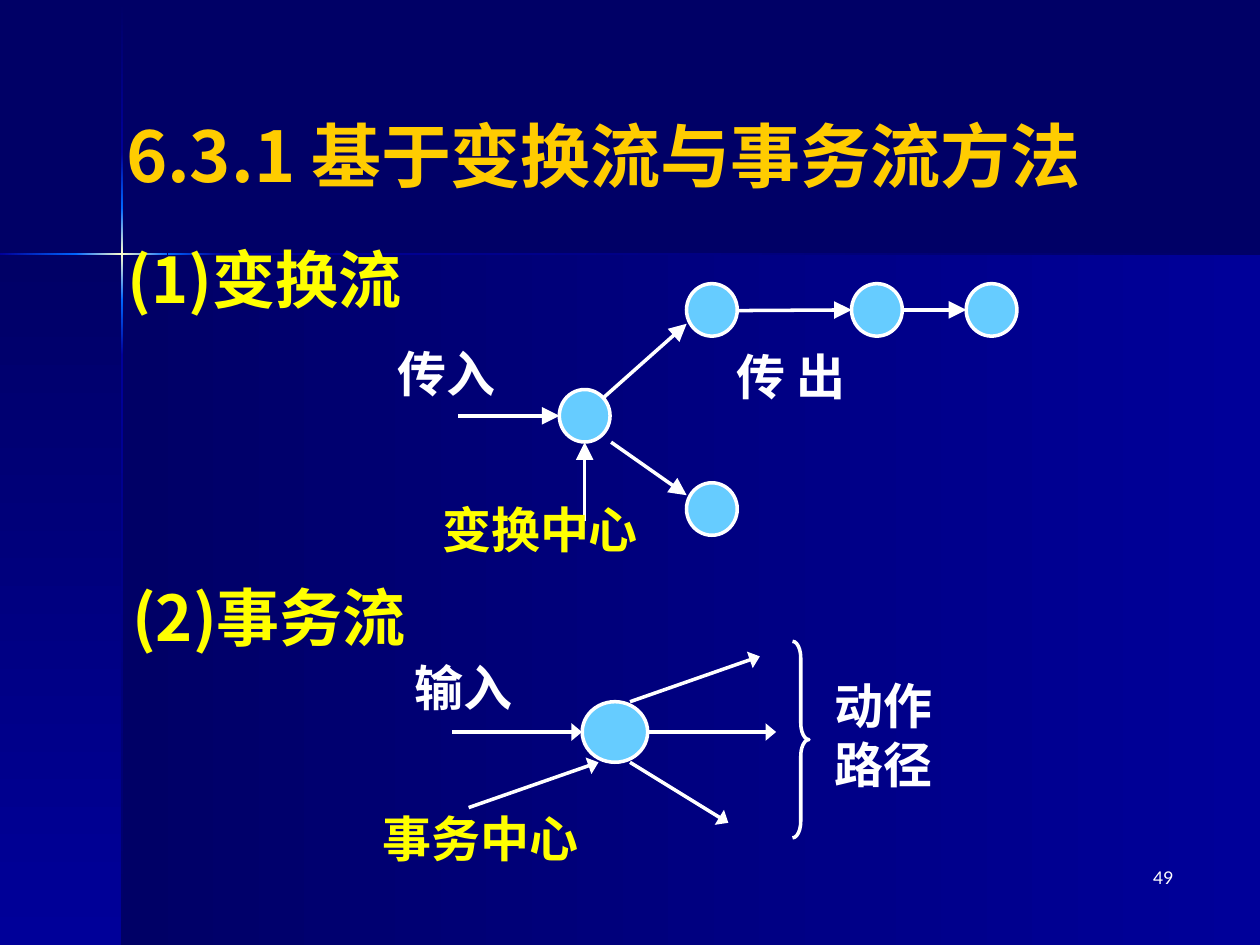
from copy import deepcopy

from lxml.etree import SubElement
from pptx import Presentation
from pptx.dml.color import RGBColor
from pptx.enum.shapes import MSO_CONNECTOR, MSO_SHAPE
from pptx.enum.text import MSO_ANCHOR, MSO_AUTO_SIZE, PP_ALIGN
from pptx.oxml.ns import qn
from pptx.util import Pt

NAVY = RGBColor(0x00, 0x00, 0x66)
BLUE = RGBColor(0x00, 0x00, 0x99)
BRIGHT = RGBColor(0x00, 0x66, 0xFF)
CREAM = RGBColor(0xFF, 0xFF, 0xCC)
GOLD = RGBColor(0xFF, 0xCC, 0x00)
YELLOW = RGBColor(0xFF, 0xFF, 0x00)
WHITE = RGBColor(0xFF, 0xFF, 0xFF)
SKY = RGBColor(0x66, 0xCC, 0xFF)

LATIN = "Lato"
CHINESE = "Noto Sans CJK SC"
DOWN, LEFTWARD = 270, 180

BANDS = [
    (69.84, 145.44, 650.16, 394.56, LEFTWARD, (BLUE, NAVY)),
    (0, 145.44, 69.84, 394.56, DOWN, (NAVY, BLUE)),
    (69.2, 0.72, 1.3, 86.4, DOWN, (NAVY, BLUE)),
    (69.2, 203.04, 1.3, 336.96, DOWN, (BLUE, NAVY)),
    (127.44, 144.7, 592.56, 1.3, LEFTWARD, (NAVY, BLUE)),
    (69.2, 171.36, 1.3, 31.68, DOWN, (BRIGHT, BLUE)),
    (69.2, 87.12, 1.3, 31.68, DOWN, (BLUE, BRIGHT)),
    (69.2, 118.8, 1.3, 52.56, DOWN, (BRIGHT, CREAM, BRIGHT)),
    (0, 144.7, 43.92, 1.3, LEFTWARD, (BRIGHT, BLUE)),
    (95.76, 144.7, 31.68, 1.3, LEFTWARD, (BLUE, BRIGHT)),
    (43.2, 144.7, 52.56, 1.3, LEFTWARD, (BRIGHT, CREAM, BRIGHT)),
]

TRANSFORM_ARROWS = [
    (341.3, 230.4, 392.4, 185),
    (421.2, 177.5, 486.7, 177.1),
    (515.5, 177.1, 552.2, 177.1),
    (349.2, 252.7, 392.4, 283),
    (262, 237.6, 319.7, 237.6),
    (334.1, 298, 334.1, 252.7),
]
TRANSACTION_ARROWS = [
    (258.5, 418.3, 332.6, 418.3),
    (370.1, 418.3, 443.5, 418.3),
    (360, 401, 434.2, 375.1),
    (360, 435.6, 416.2, 470.2),
    (267.8, 461.5, 342, 435.6),
]
TRANSFORM_CENTRES = [
    (334.1, 237.6), (406.8, 177.1), (501.1, 177.1), (566.6, 177.1), (406.8, 290.9),
]

HEADING = {"size": Pt(36), "bold": True, "name": CHINESE}
LABEL = {"size": Pt(28), "bold": True, "name": LATIN}
HEADINGS = [
    ("(1)变换流", 58.7, 133.9, 185, 50.4),
    ("(2)事务流", 61.2, 326.9, 185, 50.4),
]
LABELS = [
    ("传入 ", 208.2, 190.5, 100, 45.4, WHITE),
    ("传 出", 402.2, 190.8, 100, 47.5, WHITE),
    ("变换中心", 228.6, 283, 160, 38.2, YELLOW),
    ("输入 ", 217.8, 375.1, 100, 34.6, WHITE),
    ("事务中心 ", 184.6, 457.2, 185.8, 43.2, YELLOW),
    (" 动作\n 路径", 439.2, 377.6, 124.6, 84.2, WHITE),
]


def format_text(text_frame, text, values, color, alignment):
    """Write the text and apply one font format to every run."""
    text_frame.text = text
    for paragraph in text_frame.paragraphs:
        paragraph.alignment = alignment
        for run in paragraph.runs:
            for name, value in values.items():
                setattr(run.font, name, value)
            run.font.color.rgb = color
            SubElement(run.font._element, qn("a:ea"), typeface=CHINESE)


def add_text(slide, text, box, values, color, alignment=PP_ALIGN.CENTER,
             anchor=MSO_ANCHOR.MIDDLE, wrap=False):
    """Add a text box whose box is left, top, width, height in points."""
    text_frame = slide.shapes.add_textbox(*map(Pt, box)).text_frame
    text_frame.word_wrap = wrap
    text_frame.vertical_anchor = anchor
    format_text(text_frame, text, values, color, alignment)


def add_plain_shape(slide, kind, box):
    """Add a preset shape without a shadow."""
    shape = slide.shapes.add_shape(kind, *map(Pt, box))
    shape.shadow.inherit = False
    return shape


def add_band(slide, box, angle, colors):
    """Add a borderless rectangle with evenly spaced gradient colours."""
    shape = add_plain_shape(slide, MSO_SHAPE.RECTANGLE, box)
    shape.line.fill.background()
    shape.fill.gradient()
    shape.fill.gradient_angle = angle
    stop_list = shape._element.spPr.find(".//" + qn("a:gsLst"))
    while len(stop_list) < len(colors):
        stop_list.append(deepcopy(stop_list[-1]))
    for index, (stop, color) in enumerate(zip(shape.fill.gradient_stops, colors)):
        stop.position = index / (len(colors) - 1)
        stop.color.rgb = color


def set_line(shape):
    """Give a shape or connector the diagram's white line."""
    shape.line.color.rgb = WHITE
    shape.line.width = Pt(2)


def add_circle(slide, centre, width, height):
    """Add a process bubble around its centre."""
    x, y = centre
    box = (x - width / 2, y - height / 2, width, height)
    shape = add_plain_shape(slide, MSO_SHAPE.OVAL, box)
    shape.fill.solid()
    shape.fill.fore_color.rgb = SKY
    set_line(shape)


def add_arrow(slide, ends, head_length):
    """Add a straight arrow with a wide triangular head at its end."""
    connector = slide.shapes.add_connector(MSO_CONNECTOR.STRAIGHT, *map(Pt, ends))
    set_line(connector)
    SubElement(connector.line._get_or_add_ln(), qn("a:tailEnd"),
               type="triangle", w="lg", len=head_length)
    SubElement(connector._element.spPr, qn("a:effectLst"))


def add_brace(slide, box):
    """Add the right brace that gathers the action paths."""
    shape = add_plain_shape(slide, MSO_SHAPE.RIGHT_BRACE, box)
    shape.fill.background()
    set_line(shape)
    shape.adjustments[0] = 1
    shape.adjustments[1] = 0.5


def set_title(slide, text, box):
    """Place and format the title placeholder."""
    title = slide.shapes.title
    for name, value in zip(("left", "top", "width", "height"), box):
        setattr(title, name, Pt(value))
    title.text_frame.auto_size = MSO_AUTO_SIZE.NONE
    title.text_frame.vertical_anchor = MSO_ANCHOR.MIDDLE
    format_text(title.text_frame, text, {**HEADING, "size": Pt(40)}, GOLD, PP_ALIGN.LEFT)


def main():
    """Build the slide on transform flow and transaction flow."""
    presentation = Presentation()
    presentation.slide_width, presentation.slide_height = Pt(720), Pt(540)
    slide = presentation.slides.add_slide(presentation.slide_layouts[5])
    slide.background.fill.solid()
    slide.background.fill.fore_color.rgb = NAVY
    for *box, angle, colors in BANDS:
        add_band(slide, box, angle, colors)
    set_title(slide, "6.3.1 基于变换流与事务流方法", (64.8, 31.7, 594, 113))
    for text, *box in HEADINGS:
        add_text(slide, text, box, HEADING, YELLOW, anchor=MSO_ANCHOR.TOP)
    for ends in TRANSFORM_ARROWS:
        add_arrow(slide, ends, "lg")
    for centre in TRANSFORM_CENTRES:
        add_circle(slide, centre, 29, 30)
    add_circle(slide, (351.4, 418.3), 37.4, 34.6)
    for ends in TRANSACTION_ARROWS:
        add_arrow(slide, ends, "med")
    add_brace(slide, (452.9, 366.5, 9.4, 112.3))
    for text, *box, color in LABELS:
        add_text(slide, text, box, LABEL, color)
    add_text(slide, "49", (527.8, 491.8, 149.8, 36), {"size": Pt(10), "name": LATIN},
             WHITE, PP_ALIGN.RIGHT, MSO_ANCHOR.TOP, True)
    presentation.save("out.pptx")


if __name__ == "__main__":
    main()
